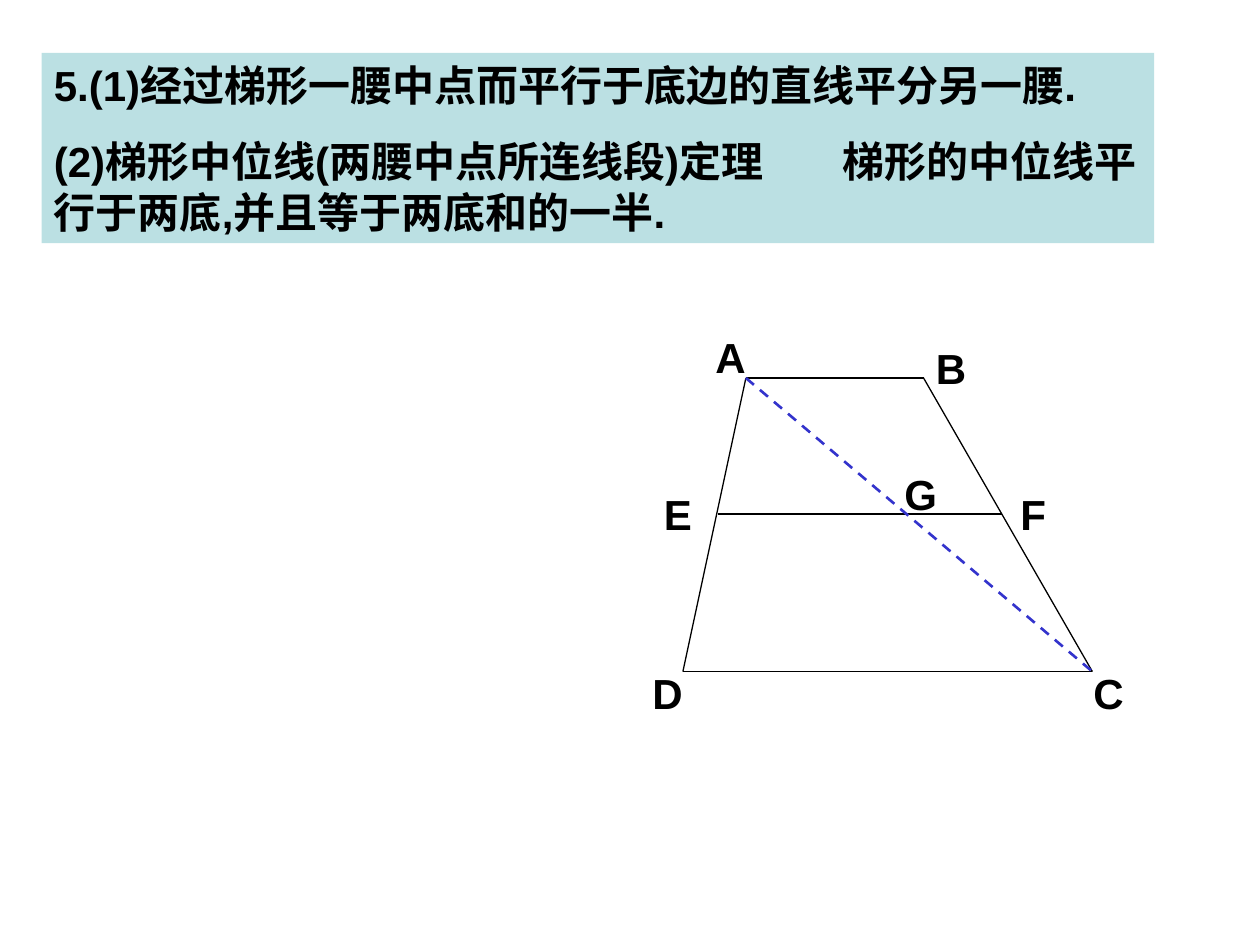
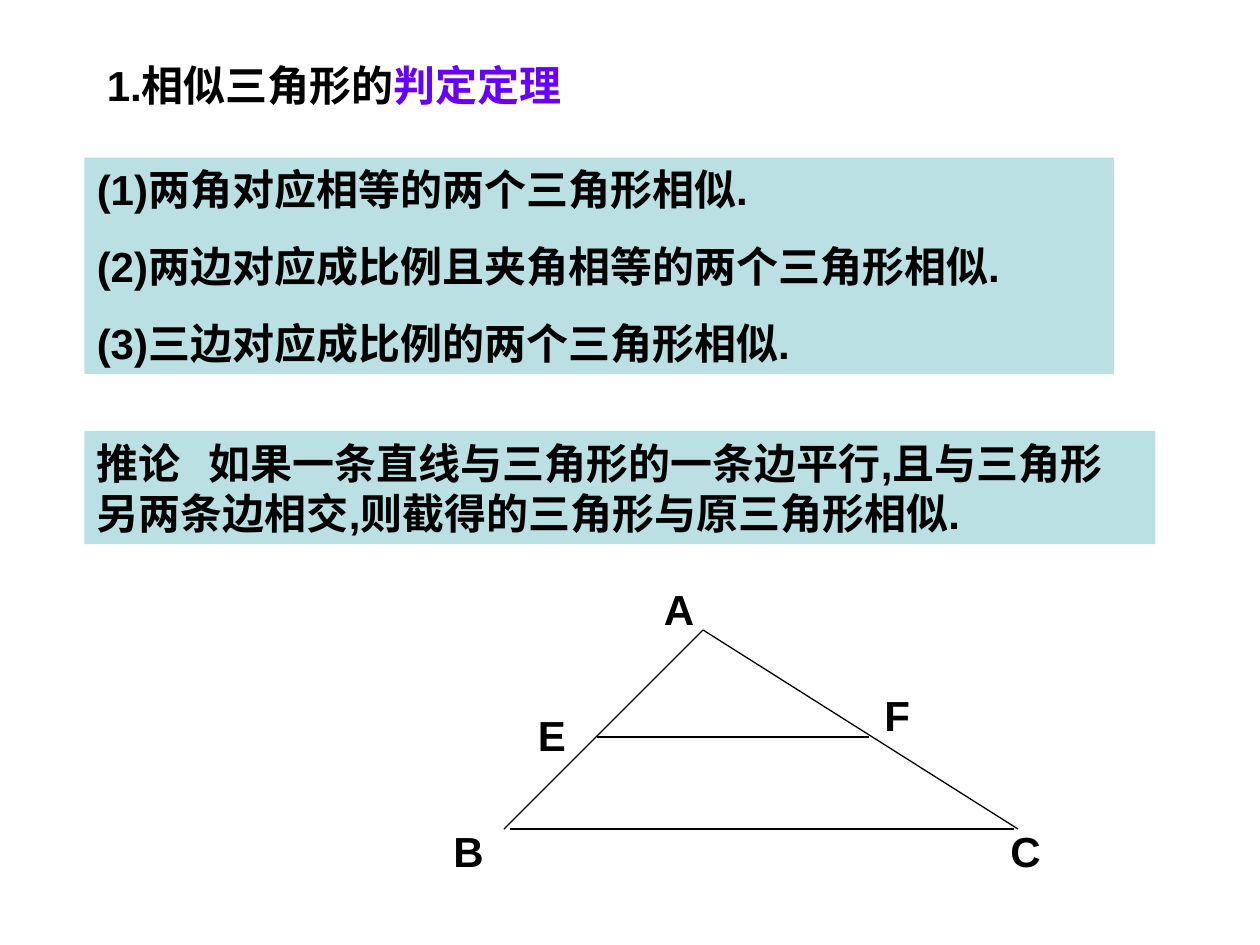
from dataclasses import dataclass

from lxml import etree
from pptx import Presentation
from pptx.dml.color import RGBColor
from pptx.enum.dml import MSO_LINE
from pptx.enum.shapes import MSO_CONNECTOR, MSO_SHAPE
from pptx.enum.text import MSO_ANCHOR, MSO_AUTO_SIZE, PP_ALIGN
from pptx.oxml.ns import qn
from pptx.util import Inches, Pt

DASH = MSO_LINE.DASH
STRAIGHT = MSO_CONNECTOR.STRAIGHT
RECT = MSO_SHAPE.RECTANGLE
TOP = MSO_ANCHOR.TOP
GROW = MSO_AUTO_SIZE.SHAPE_TO_FIT_TEXT
LEFT = PP_ALIGN.LEFT


@dataclass(frozen=True)
class Theme:
    ink: str = "000000"
    band: str = "BBE0E3"
    accent: str = "6600FF"
    aid: str = "3333CC"
    font: str = "Arial"
    size: float = 24
    gap: float = 15
    thin: float = 0.75
    thick: float = 1.5


def paint(hue):
    return RGBColor.from_string(hue)


def write(para, text, *, font, size, hue, bold=True):
    run = para.add_run()
    run.text = text
    run.font.name = font
    run.font.size = Pt(size)
    run.font.bold = bold
    run.font.color.rgb = paint(hue)


class Board:
    def __init__(self, deck, theme):
        self.deck = deck
        self.theme = theme
        self.host = None

    def page(self):
        self.slide = self.deck.slides.add_slide(self.deck.slide_layouts[6])
        self.host = self.slide.shapes

    def fill(self, shape, paras, stop=None):
        look = self.theme
        frame = shape.text_frame
        frame.word_wrap = True
        frame.auto_size = GROW
        frame.vertical_anchor = TOP
        for i, runs in enumerate(paras):
            para = frame.add_paragraph() if i else frame.paragraphs[0]
            para.alignment = LEFT
            if i:
                para.space_before = Pt(look.gap)
            if stop:
                tabs = etree.SubElement(para._p.get_or_add_pPr(), qn("a:tabLst"))
                etree.SubElement(tabs, qn("a:tab"), pos=str(Inches(stop)), algn="l")
            for text, hue in runs:
                write(para, text, font=look.font, size=look.size, hue=hue)

    def text(self, box, *runs):
        shape = self.host.add_textbox(*map(Inches, box))
        self.fill(shape, [runs])

    def band(self, box, *lines, stop=None):
        shape = self.host.add_shape(RECT, *map(Inches, box))
        shape.shadow.inherit = False
        shape.fill.solid()
        shape.fill.fore_color.rgb = paint(self.theme.band)
        shape.line.fill.background()
        self.fill(shape, [[(line, self.theme.ink)] for line in lines], stop)

    def line(self, start, end, hue=None, width=None, dash=None):
        edge = self.host.add_connector(STRAIGHT, *map(Inches, start + end))
        edge.line.color.rgb = paint(hue or self.theme.ink)
        edge.line.width = Pt(width or self.theme.thin)
        if dash:
            edge.line.dash_style = dash
        etree.SubElement(edge._element.spPr, qn("a:effectLst"))

    def label(self, name, spot, width):
        self.text((*spot, width, 0.5), (name, self.theme.ink))

    def figure(self, points, edges, labels, width):
        self.host = self.slide.shapes.add_group_shape().shapes
        for start, end in edges.split():
            self.line(points[start], points[end])
        for name, spot in labels.items():
            self.label(name, spot, width)
        self.host = self.slide.shapes


def midline(board):
    look = board.theme
    board.page()
    board.band(
        (0.33, 0.42, 8.83, 1.51),
        "5.(1)经过梯形一腰中点而平行于底边的直线平分另一腰.",
        "(2)梯形中位线(两腰中点所连线段)定理\t梯形的中位线平行于两底,并且等于两底和的一半.",
        stop=6.26,
    )
    points = {
        "A": (5.92, 3), "B": (7.33, 3), "C": (8.67, 5.33),
        "D": (5.42, 5.33), "E": (5.7, 4.08), "F": (7.95, 4.08),
    }
    labels = {
        "A": (5.58, 2.58), "B": (7.33, 2.67), "C": (8.58, 5.25),
        "D": (5.08, 5.25), "E": (5.17, 3.83), "F": (8, 3.83),
    }
    board.figure(points, "AD AB DC BC EF", labels, 0.5)
    board.line(points["A"], points["C"], look.aid, look.thick, DASH)
    board.label("G", (7.08, 3.67), 0.5)


def similar(board):
    look = board.theme
    board.page()
    board.text(
        (0.75, 0.42, 4, 0.5),
        ("1.相似三角形的", look.ink), ("判定定理", look.accent),
    )
    board.band(
        (0.67, 1.25, 8.17, 1.72),
        "(1)两角对应相等的两个三角形相似.",
        "(2)两边对应成比例且夹角相等的两个三角形相似.",
        "(3)三边对应成比例的两个三角形相似.",
    )
    board.band(
        (0.67, 3.42, 8.5, 0.9),
        "推论\t如果一条直线与三角形的一条边平行,且与三角形另两条边相交,则截得的三角形与原三角形相似.",
        stop=0.89,
    )
    points = {
        "A": (5.58, 5), "B": (4, 6.58), "C": (8.08, 6.58),
        "b": (4.05, 6.58), "c": (8.05, 6.58),
        "E": (4.74, 5.85), "F": (6.9, 5.85),
    }
    labels = {
        "A": (5.17, 4.58), "B": (3.5, 6.5), "C": (7.92, 6.5),
        "E": (4.17, 5.58), "F": (6.92, 5.42),
    }
    board.figure(points, "AB AC bc EF", labels, 0.67)


def main():
    deck = Presentation()
    deck.slide_width = Inches(10)
    deck.slide_height = Inches(7.5)
    board = Board(deck, Theme())
    midline(board)
    similar(board)
    deck.save("out.pptx")


if __name__ == "__main__":
    main()
